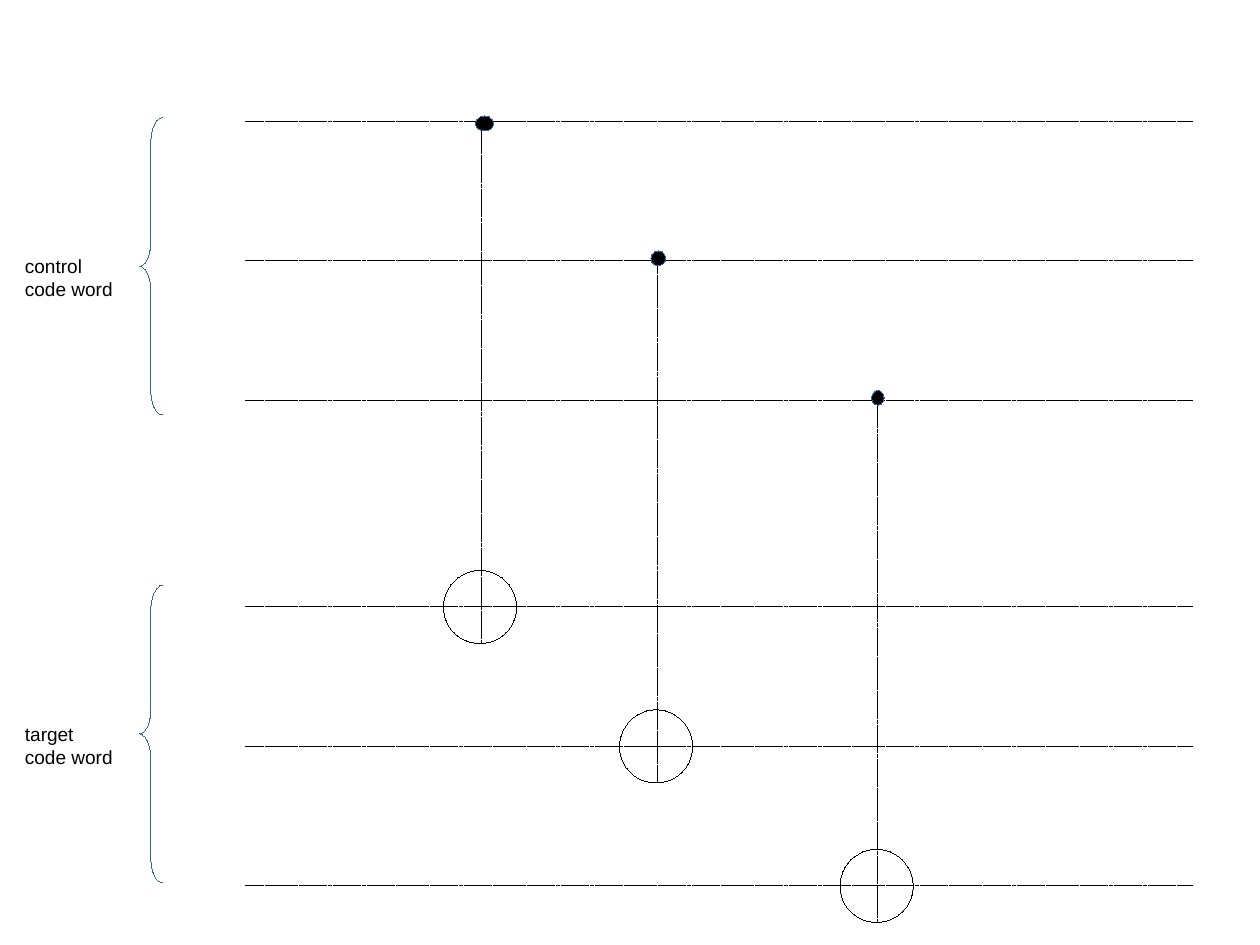
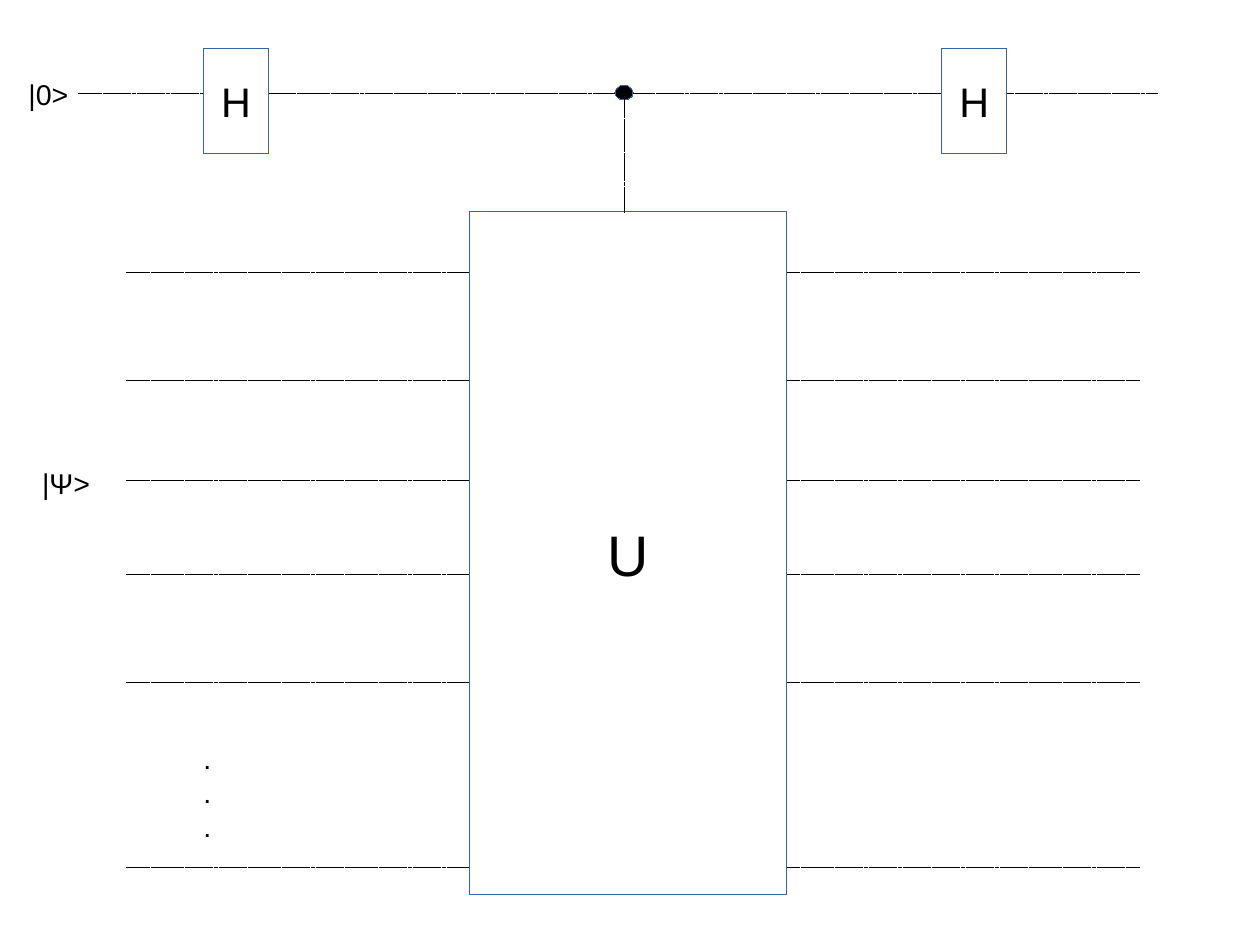
from typing import NamedTuple

from lxml.etree import SubElement
from pptx import Presentation
from pptx.dml.color import RGBColor
from pptx.enum.dml import MSO_LINE
from pptx.enum.shapes import MSO_CONNECTOR, MSO_SHAPE
from pptx.enum.text import MSO_ANCHOR, MSO_AUTO_SIZE, PP_ALIGN
from pptx.oxml.ns import qn
from pptx.util import Cm, Inches, Pt

BLACK = RGBColor(0x00, 0x00, 0x00)
WHITE = RGBColor(0xFF, 0xFF, 0xFF)
BLUE = RGBColor(0x34, 0x65, 0xA4)
FONT = "Arial"
WIRE_GAP = 1.22
RADIUS = 0.32
DOT_W = 0.16
DOT_H = 0.13


class Box(NamedTuple):
    """A region in inches."""

    left: float
    top: float
    width: float
    height: float

    def inner(self, dx, dy, width, height):
        """Return a box offset from this one's corner."""
        return Box(self.left + dx, self.top + dy, width, height)

    @property
    def right(self):
        """Return the right edge."""
        return self.left + self.width

    def emu(self):
        """Return the four lengths for python-pptx."""
        return [Inches(v) for v in self]


def set_hairline(sp, color):
    """Give a shape or connector a coloured line of zero width."""
    sp.line.color.rgb = color
    sp._element.spPr.find(qn("a:ln")).set("w", "0")


def add_wire(slide, x1, y1, x2, y2):
    """Draw a dashed hairline between two points."""
    ends = [Inches(v) for v in (x1, y1, x2, y2)]
    c = slide.shapes.add_connector(MSO_CONNECTOR.STRAIGHT, *ends)
    set_hairline(c, BLACK)
    c.line.dash_style = MSO_LINE.SQUARE_DOT
    SubElement(c._element.spPr, qn("a:effectLst"))


def add_figure(slide, kind, box, line, fill=None):
    """Add a flat preset shape with a hairline outline."""
    sp = slide.shapes.add_shape(kind, *box.emu())
    sp.shadow.inherit = False
    set_hairline(sp, line)
    if fill is None:
        sp.fill.background()
    else:
        sp.fill.solid()
        sp.fill.fore_color.rgb = fill
    return sp


def add_disc(slide, x, y, width, height, line, fill=None):
    """Add an ellipse centred on a point."""
    box = Box(x - width / 2, y - height / 2, width, height)
    add_figure(slide, MSO_SHAPE.OVAL, box, line, fill)


def write(tf, lines, size, align=PP_ALIGN.LEFT):
    """Fill a text frame with one paragraph a line."""
    for i, text in enumerate(lines):
        p = tf.add_paragraph() if i else tf.paragraphs[0]
        p.text = text
        p.alignment = align
        p.font.name = FONT
        p.font.size = Pt(size)
        p.font.color.rgb = BLACK


def add_label(slide, box, lines, size):
    """Add a wrapped text box."""
    tf = slide.shapes.add_textbox(*box.emu()).text_frame
    tf.word_wrap = True
    tf.auto_size = MSO_AUTO_SIZE.SHAPE_TO_FIT_TEXT
    write(tf, lines, size)


def add_gate(slide, box, name, size):
    """Add a white box with a centred gate name."""
    tf = add_figure(slide, MSO_SHAPE.RECTANGLE, box, BLUE, WHITE).text_frame
    tf.word_wrap = False
    tf.vertical_anchor = MSO_ANCHOR.MIDDLE
    write(tf, [name], size, PP_ALIGN.CENTER)


def code_word(slide, box, role, wires):
    """Draw a labelled brace and the wires of one code word."""
    add_label(slide, box.inner(0, 1.15, 1.57, 0.87), [role, "code word"], 12)
    brace = add_figure(slide, MSO_SHAPE.LEFT_BRACE, box.inner(1.1, 0, 0.2, box.height), BLUE)
    brace.adjustments[0] = 1.08
    for y in wires:
        add_wire(slide, box.left + 2.03, y, box.right, y)


def cnot_slide(slide):
    """Draw three controlled-NOT gates between two code words."""
    controls = [1.06 + WIRE_GAP * i for i in range(3)]
    targets = [5.31 + WIRE_GAP * i for i in range(3)]
    code_word(slide, Box(0.12, 1.03, 10.31, 2.6), "control", controls)
    code_word(slide, Box(0.12, 5.12, 10.31, 2.6), "target", targets)
    columns = [(4.21, 0.03, 0.02, DOT_W), (5.75, 0.01, -0.02, 0.13), (7.68, 0, -0.02, 0.11)]
    for (x, dx, dy, dot_width), control, target in zip(columns, controls, targets):
        add_wire(slide, x, control, x, target + RADIUS)
        add_disc(slide, x - 0.01, target, 2 * RADIUS, 2 * RADIUS, BLACK)
        add_disc(slide, x + dx, control + dy, dot_width, DOT_H, BLUE, BLACK)


def ancilla(slide, box):
    """Draw the top wire with its state and two Hadamard gates."""
    y = box.top + box.height / 2 - 0.06
    add_wire(slide, box.left + 0.54, y, box.right, y)
    for dx in (1.63, 8.09):
        add_gate(slide, box.inner(dx, 0, 0.57, box.height), "H", 26)
    add_label(slide, box.inner(0, 0.2, 1.01, 0.38), ["|0>"], 18)


def register(slide, box):
    """Draw the lower wires and the unitary gate across them."""
    for dy in (0.53, 1.48, 2.35, 3.18, 4.12, 5.74):
        add_wire(slide, box.left + 0.84, box.top + dy, box.right, box.top + dy)
    add_label(slide, box.inner(1.41, 4.58, 0.42, 0.94), ["."] * 3, 18)
    add_gate(slide, box.inner(3.84, 0, 2.77, box.height), "U", 36)
    add_label(slide, box.inner(0, 2.18, 1.01, 0.38), ["|Ψ>"], 18)


def hadamard_slide(slide):
    """Draw the controlled unitary between two Hadamard gates."""
    ancilla(slide, Box(0.15, 0.42, 9.98, 0.92))
    register(slide, Box(0.27, 1.85, 9.7, 5.98))
    add_disc(slide, 5.46, 0.81, DOT_W, DOT_H, BLUE, BLACK)
    add_wire(slide, 5.46, 0.83, 5.46, 1.86)


def main():
    """Build and save the slides."""
    prs = Presentation()
    prs.slide_width, prs.slide_height = Cm(28), Cm(21)
    for draw in (cnot_slide, hadamard_slide):
        draw(prs.slides.add_slide(prs.slide_layouts[6]))
    prs.save("out.pptx")


if __name__ == "__main__":
    main()
